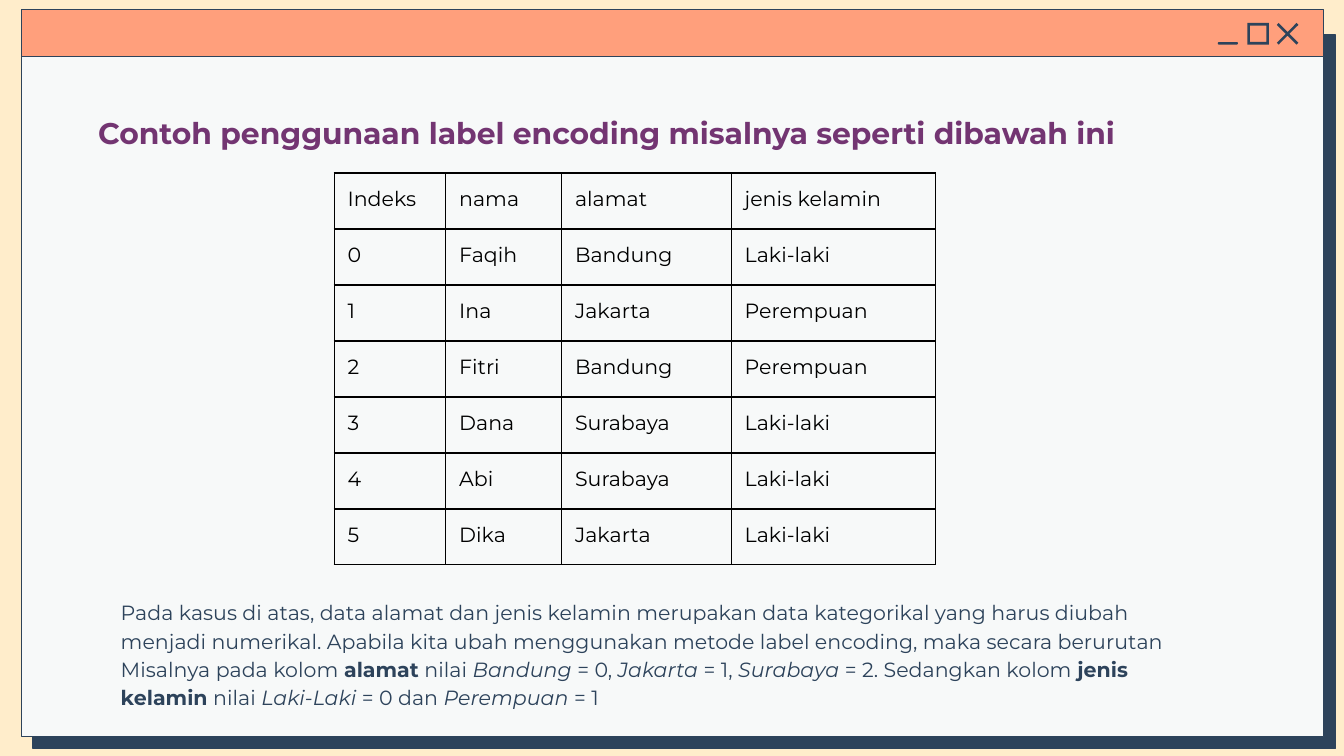
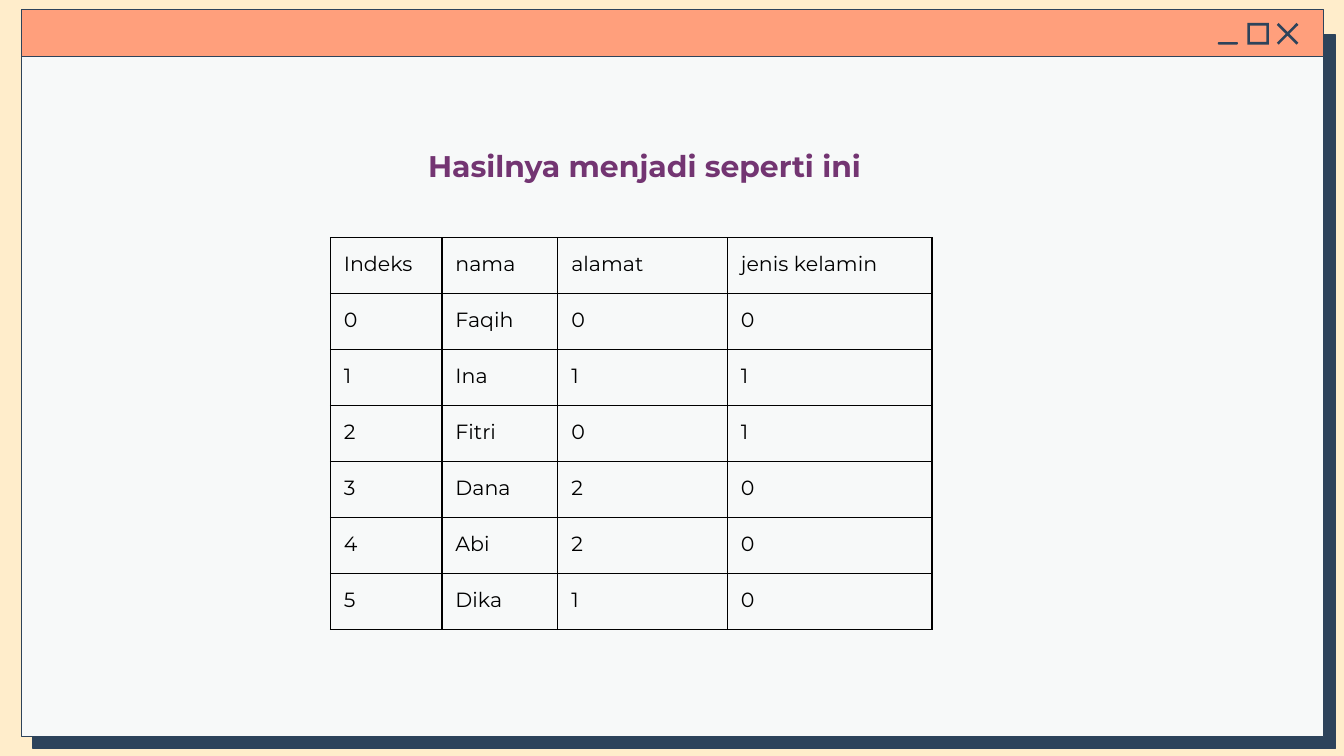
from dataclasses import dataclass

from lxml import etree
from pptx import Presentation
from pptx.dml.color import RGBColor
from pptx.enum.shapes import MSO_SHAPE
from pptx.enum.text import MSO_ANCHOR, MSO_AUTO_SIZE, PP_ALIGN
from pptx.oxml.ns import qn
from pptx.util import Pt

RECTANGLE, ROUNDED, FRAME = MSO_SHAPE.RECTANGLE, MSO_SHAPE.ROUNDED_RECTANGLE, MSO_SHAPE.FRAME
TOP, GROW = MSO_ANCHOR.TOP, MSO_AUTO_SIZE.SHAPE_TO_FIT_TEXT
LEFT, CENTER = PP_ALIGN.LEFT, PP_ALIGN.CENTER


@dataclass(frozen=True)
class Theme:
    """Colours, type sizes and line widths of the deck."""

    background: str = "FFEDCB"
    panel: str = "F7F9F9"
    bar: str = "FF9F7C"
    ink: str = "2D435B"
    heading: str = "733572"
    grid: str = "000000"
    font: str = "Montserrat"
    heading_size: float = 16
    text_size: float = 11
    line: float = 0.75
    inset: float = 7.2


THEME = Theme()
TITLE_ONLY = 5
COLUMN_WIDTHS = (59.8, 62.1, 90.9, 109.6)
ROW_HEIGHT = 30
HEADER = ("Indeks", "nama", "alamat", "jenis kelamin")
PEOPLE = (
    ("Faqih", "Bandung", "Laki-laki"),
    ("Ina", "Jakarta", "Perempuan"),
    ("Fitri", "Bandung", "Perempuan"),
    ("Dana", "Surabaya", "Laki-laki"),
    ("Abi", "Surabaya", "Laki-laki"),
    ("Dika", "Jakarta", "Laki-laki"),
)
EXPLANATION = (
    ("Pada kasus di atas, data alamat dan jenis kelamin merupakan data kategorikal "
     "yang harus diubah menjadi numerikal. Apabila kita ubah menggunakan metode label "
     "encoding, maka secara berurutan Misalnya pada kolom ", ""),
    ("alamat", "b"), (" nilai ", ""), ("Bandung", "i"), (" = 0, ", ""),
    ("Jakarta", "i"), (" = 1, ", ""), ("Surabaya", "i"),
    (" = 2. Sedangkan kolom ", ""), ("jenis kelamin", "b"), (" nilai ", ""),
    ("Laki-Laki", "i"), (" = 0 dan ", ""), ("Perempuan ", "i"), ("= 1", ""),
)


def rgb(value):
    """Turn a hex string into a colour."""
    return RGBColor.from_string(value)


def points(*lengths):
    """Turn numbers into point lengths."""
    return [Pt(length) for length in lengths]


def write_text(frame, runs, size=THEME.text_size, color=THEME.ink, align=LEFT, spacing=1.0):
    """Fill a text frame with one paragraph of (text, style) runs."""
    frame.word_wrap = True
    frame.vertical_anchor = TOP
    frame.margin_left = frame.margin_right = Pt(THEME.inset)
    frame.margin_top = frame.margin_bottom = Pt(THEME.inset)
    paragraph = frame.paragraphs[0]
    paragraph.alignment, paragraph.line_spacing = align, spacing
    for text, style in runs:
        run = paragraph.add_run()
        run.text = text
        run.font.name, run.font.size = THEME.font, Pt(size)
        run.font.bold, run.font.italic = "b" in style, "i" in style
        run.font.color.rgb = rgb(color)


def paint(shape, fill, outline=None):
    """Give a shape a flat fill, an optional outline and no shadow."""
    shape.shadow.inherit = False
    shape.fill.solid()
    shape.fill.fore_color.rgb = rgb(fill)
    if outline:
        shape.line.color.rgb = rgb(outline)
        shape.line.width = Pt(THEME.line)
    else:
        shape.line.fill.background()
    return shape


def cast_shadow(shape, distance, degrees):
    """Add a hard offset shadow in the ink colour."""
    effects = shape.element.spPr.find(qn("a:effectLst"))
    shadow = etree.SubElement(effects, qn("a:outerShdw"), blurRad="0", dist=str(Pt(distance)),
                              dir=str(degrees * 60000), algn="bl", rotWithShape="0")
    etree.SubElement(shadow, qn("a:srgbClr"), val=THEME.ink)


def add_window_buttons(shapes, left, top, size):
    """Draw the minimise, maximise and close buttons from left to right."""
    stroke, step = 1.4, 15.8
    minimise = shapes.add_shape(ROUNDED, *points(left, top + size - stroke, size - 0.8, stroke))
    minimise.adjustments[0] = 0.5
    maximise = shapes.add_shape(FRAME, *points(left + step, top, size, size))
    maximise.adjustments[0] = stroke / size
    middle, arm = size / 2, 1
    far = size - arm
    corners = ((arm, 0), (middle, middle - arm), (far, 0), (size, arm), (middle + arm, middle),
               (size, far), (far, size), (middle, middle + arm), (arm, size), (0, far),
               (middle - arm, middle), (0, arm))
    outline = [tuple(points(*corner)) for corner in corners]
    builder = shapes.build_freeform(*outline[0])
    builder.add_line_segments(outline[1:], close=True)
    close = builder.convert_to_shape(*points(left + 2 * step, top))
    for button in (minimise, maximise, close):
        paint(button, THEME.ink)


def add_window(slide, left, top, width, height):
    """Draw the browser window and place it on the slide's layout."""
    window = slide.shapes.add_group_shape()
    shapes = window.shapes
    bar_height, overlap = 25.2, 7.2
    panel = shapes.add_shape(RECTANGLE, *points(left, top + overlap, width, height - overlap))
    cast_shadow(paint(panel, THEME.panel, THEME.ink), 9, 46)
    paint(shapes.add_shape(RECTANGLE, *points(left, top, width, bar_height)),
          THEME.bar, THEME.ink)
    add_window_buttons(shapes, left + width - 56.8, top + 7.3, 11.6)
    for number, node in enumerate(window.element.xpath(".//p:cNvPr"), 100):
        node.set("id", str(number))
    slide.slide_layout.shapes.element.insert(2, window.element)


def set_title(slide, text, top, align):
    """Place and format the slide title."""
    title = slide.shapes.title
    title.left, title.top, title.width, title.height = points(45.4, top, 600, 33.9)
    write_text(title.text_frame, [(text, "b")], size=THEME.heading_size,
               color=THEME.heading, align=align)
    title.text_frame.auto_size = GROW


def add_borders(cell):
    """Draw a thin line on each side of a cell."""
    properties = cell._tc.get_or_add_tcPr()
    for place, side in enumerate(("a:lnL", "a:lnR", "a:lnT", "a:lnB")):
        border = etree.Element(qn(side), w=str(Pt(THEME.line)))
        fill = etree.SubElement(border, qn("a:solidFill"))
        etree.SubElement(fill, qn("a:srgbClr"), val=THEME.grid)
        properties.insert(place, border)


def add_people_table(slide, people, left, top):
    """Add the indexed table of people."""
    rows = [HEADER] + [(str(index), *person) for index, person in enumerate(people)]
    table = slide.shapes.add_table(
        len(rows), len(HEADER),
        *points(left, top, sum(COLUMN_WIDTHS), ROW_HEIGHT * len(rows))).table
    table.first_row = table.horz_banding = False
    for column, width in zip(table.columns, COLUMN_WIDTHS):
        column.width = Pt(width)
    for table_row, values in zip(table.rows, rows):
        for cell, value in zip(table_row.cells, values):
            cell.fill.background()
            write_text(cell.text_frame, [(value, "")], color=THEME.grid)
            cell.margin_left = cell.margin_right = Pt(THEME.inset)
            cell.margin_top = cell.margin_bottom = Pt(THEME.inset)
            cell.vertical_anchor = TOP
            add_borders(cell)


def add_explanation(slide, left, top, width, height):
    """Add the paragraph below the table."""
    frame = slide.shapes.add_textbox(*points(left, top, width, height)).text_frame
    write_text(frame, EXPLANATION, spacing=1.15)
    frame.auto_size = GROW


def label_encode(values):
    """Replace each category by its place in alphabetical order."""
    categories = sorted(set(values))
    return [str(categories.index(value)) for value in values]


def build_example_slide(slide):
    """Fill the slide with the categorical data."""
    set_title(slide, "Contoh penggunaan label encoding misalnya seperti dibawah ini", 54, LEFT)
    add_people_table(slide, PEOPLE, 179, 92.7)
    add_explanation(slide, 57.6, 312.5, 600, 74.2)


def build_result_slide(slide):
    """Fill the slide with the encoded data."""
    set_title(slide, "Hasilnya menjadi seperti ini", 72, CENTER)
    names, addresses, genders = zip(*PEOPLE)
    encoded = zip(names, label_encode(addresses), label_encode(genders))
    add_people_table(slide, encoded, 177, 127.4)


def main():
    """Build and save the deck."""
    deck = Presentation()
    deck.slide_width, deck.slide_height = points(720, 405)
    background = deck.slide_master.background.fill
    background.solid()
    background.fore_color.rgb = rgb(THEME.background)
    layout = deck.slide_layouts[TITLE_ONLY]
    example, result = (deck.slides.add_slide(layout) for _ in range(2))
    add_window(example, 11.5, 5, 697.7, 389.5)
    build_example_slide(example)
    build_result_slide(result)
    deck.save("out.pptx")


if __name__ == "__main__":
    main()
